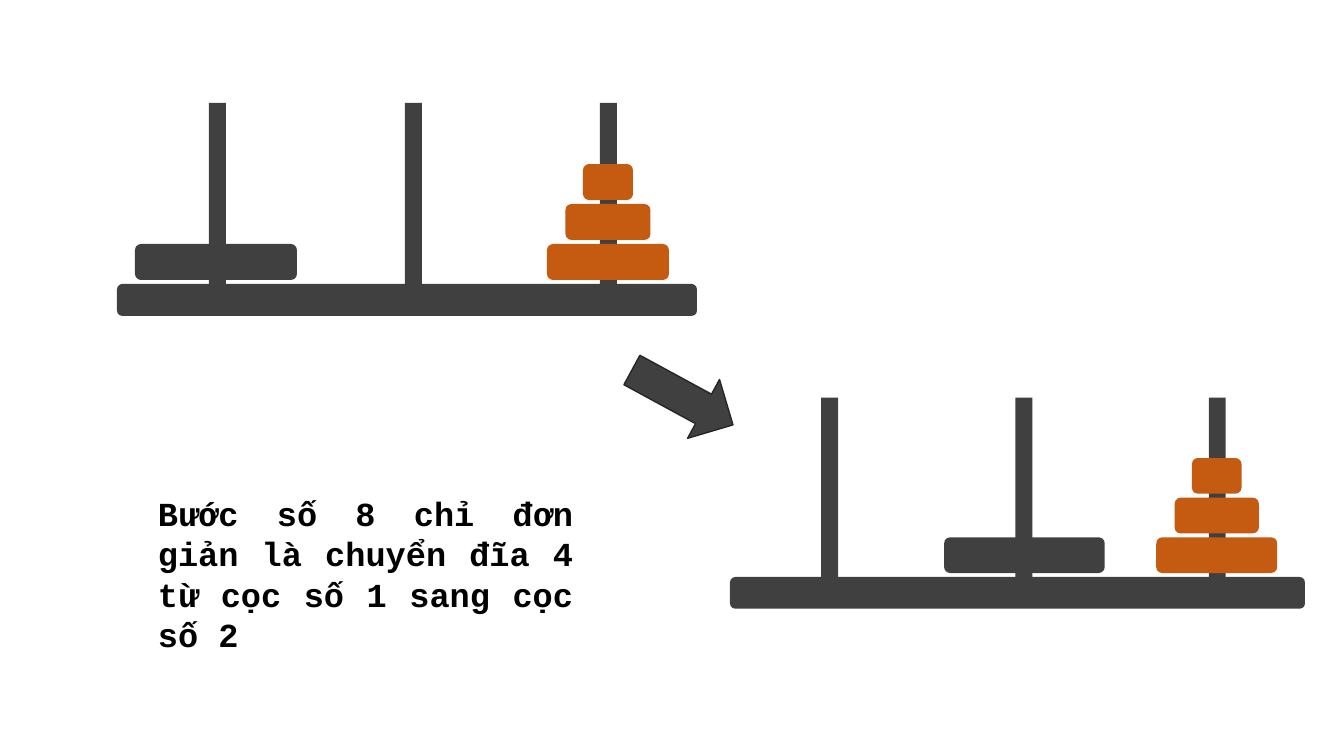
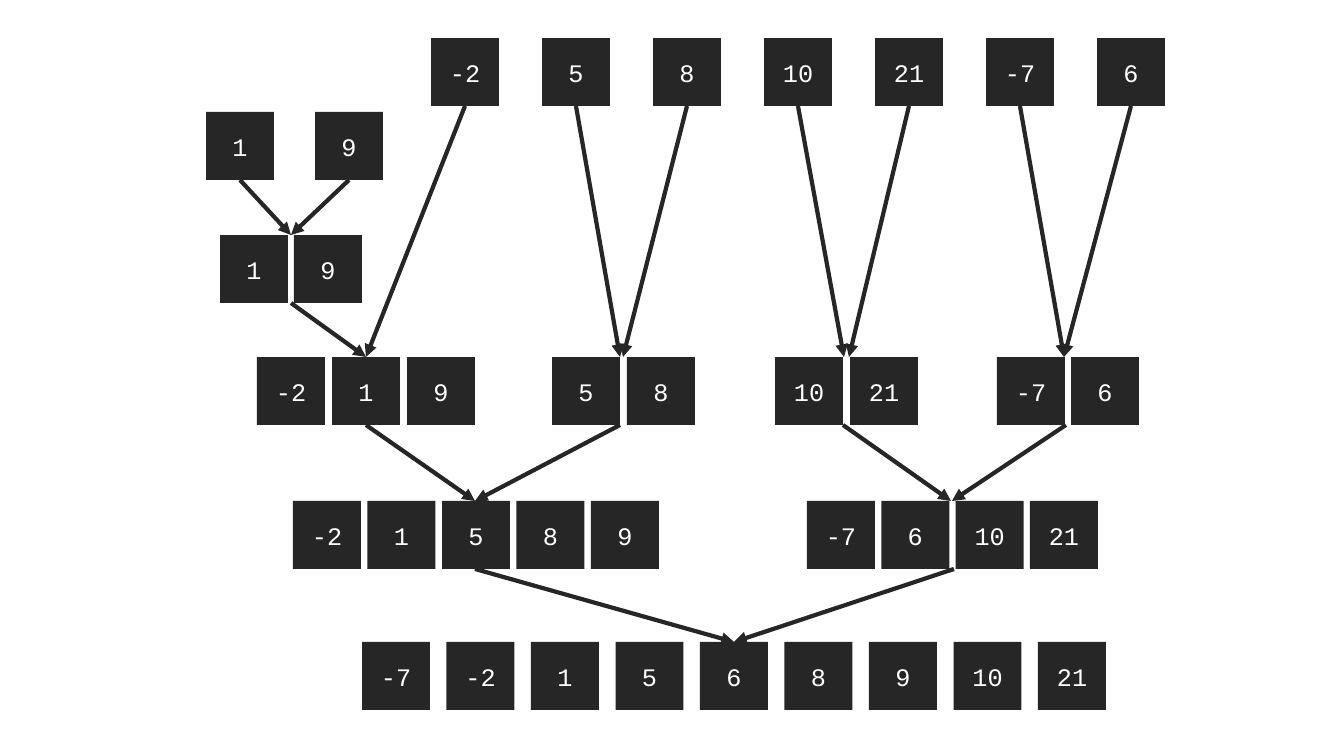
"""Build two slides: one Tower of Hanoi move and a merge sort tree."""
from dataclasses import dataclass

from pptx import Presentation
from pptx.dml.color import RGBColor
from pptx.enum.shapes import MSO_CONNECTOR as CONN, MSO_SHAPE as SHAPE
from pptx.enum.text import MSO_AUTO_SIZE as AUTO, PP_ALIGN as ALIGN
from pptx.oxml import parse_xml
from pptx.oxml.ns import nsdecls, qn
from pptx.util import Emu, Pt


@dataclass(frozen=True)
class Theme:
    font: str = "Courier New"
    body: Pt = Pt(24)
    label: Pt = Pt(18)
    wood: RGBColor = RGBColor(0x40, 0x40, 0x40)
    ink: RGBColor = RGBColor(0x26, 0x26, 0x26)
    disk: RGBColor = RGBColor(0xC5, 0x5A, 0x11)
    black: RGBColor = RGBColor(0, 0, 0)
    white: RGBColor = RGBColor(255, 255, 255)


T = Theme()
SLIDE_W, SLIDE_H = 1344, 756
EMU_W = 12192000


def px(*values):
    return [Emu(round(v * EMU_W / SLIDE_W)) for v in values]


def add_box(shapes, kind, color, x, y, w, h):
    s = shapes.add_shape(kind, *px(x, y, w, h))
    s.shadow.inherit = False
    s.fill.solid()
    s.fill.fore_color.rgb = color
    s.line.fill.background()
    return s


prs = Presentation()
prs.slide_width, prs.slide_height = px(SLIDE_W, SLIDE_H)
blank = prs.slide_layouts[6]

hanoi = prs.slides.add_slide(blank)

BASE_W, PITCH, LAST_ROD = 580, 40, 491
ORANGE_WIDTHS = (122, 85, 50)
TOWERS = [(117, 284, 580, 18), (730, 577, 575, 216)]
for left, top, width, big_disk_x in TOWERS:
    parts = [(SHAPE.ROUNDED_RECTANGLE, T.wood, 0, 0, BASE_W, 32)]
    parts += [(SHAPE.RECTANGLE, T.wood, x, -181, 17, 181) for x in (92, 288, 483)]
    parts.append((SHAPE.ROUNDED_RECTANGLE, T.wood, big_disk_x, -PITCH, 162, 36))
    parts += [(SHAPE.ROUNDED_RECTANGLE, T.disk, LAST_ROD - w / 2, -PITCH * level, w, 36)
              for level, w in enumerate(ORANGE_WIDTHS, 1)]
    scale = width / BASE_W
    tower = hanoi.shapes.add_group_shape()
    for kind, color, x, y, w, h in parts:
        add_box(tower.shapes, kind, color,
                left + x * scale, top + y * scale, w * scale, h * scale)

tf = hanoi.shapes.add_textbox(*px(148, 488, 435, 132)).text_frame
tf.word_wrap = True
tf.auto_size = AUTO.SHAPE_TO_FIT_TEXT
p = tf.paragraphs[0]
p.text = "Bước số 8 chỉ đơn giản là chuyển đĩa 4 từ cọc số 1 sang cọc số 2"
p.alignment = ALIGN.JUSTIFY
p.font.name, p.font.size, p.font.bold = T.font, T.body, True
p.font.color.rgb = T.black

arrow = add_box(hanoi.shapes, SHAPE.RIGHT_ARROW, T.wood, 625, 364, 115, 67)
arrow.rotation = 28.5
arrow.line.color.rgb = T.ink
arrow.line.width = Pt(1)

merge = prs.slides.add_slide(blank)

CELL = 68
ROWS = (38, 112, 235, 357, 501, 642)
ARROWS = [
    (240, 1, 291, 2), (349, 1, 291, 2),
    (291, 2, 366, 3), (465, 0, 366, 3),
    (576, 0, 620, 3), (687, 0, 623, 3),
    (798, 0, 844, 3), (909, 0, 849, 3),
    (1020, 0, 1064, 3), (1131, 0, 1064, 3),
    (366, 3, 475, 4), (620, 3, 475, 4),
    (843, 3, 951, 4), (1066, 3, 952, 4),
    (475, 4, 734, 5), (954, 4, 734, 5),
]
for x1, row1, x2, row2 in ARROWS:
    c = merge.shapes.add_connector(
        CONN.STRAIGHT, *px(x1, ROWS[row1] + CELL, x2, ROWS[row2]))
    c.line.color.rgb = T.ink
    c.line.width = Pt(3)
    sp_pr = c.element.spPr
    sp_pr.find(qn("a:ln")).append(
        parse_xml(f'<a:tailEnd {nsdecls("a")} type="triangle"/>'))
    sp_pr.append(parse_xml(f'<a:effectLst {nsdecls("a")}/>'))

RUNS = [
    (0, 431, 1097, "-2 5 8 10 21 -7 6"),
    (1, 206, 315, "1 9"),
    (2, 220, 294, "1 9"),
    (3, 257, 407, "-2 1 9"),
    (3, 552, 627, "5 8"),
    (3, 775, 850, "10 21"),
    (3, 997, 1071, "-7 6"),
    (4, 293, 591, "-2 1 5 8 9"),
    (4, 807, 1030, "-7 6 10 21"),
    (5, 362, 1038, "-7 -2 1 5 6 8 9 10 21"),
]
for row, first, last, numbers in RUNS:
    values = numbers.split()
    step = (last - first) / (len(values) - 1)
    for i, value in enumerate(values):
        s = add_box(merge.shapes, SHAPE.RECTANGLE, T.ink,
                    first + i * step, ROWS[row], CELL, CELL)
        p = s.text_frame.paragraphs[0]
        p.text = value
        p.alignment = ALIGN.CENTER
        p.font.name, p.font.size = T.font, T.label
        p.font.color.rgb = T.white

prs.save("out.pptx")
